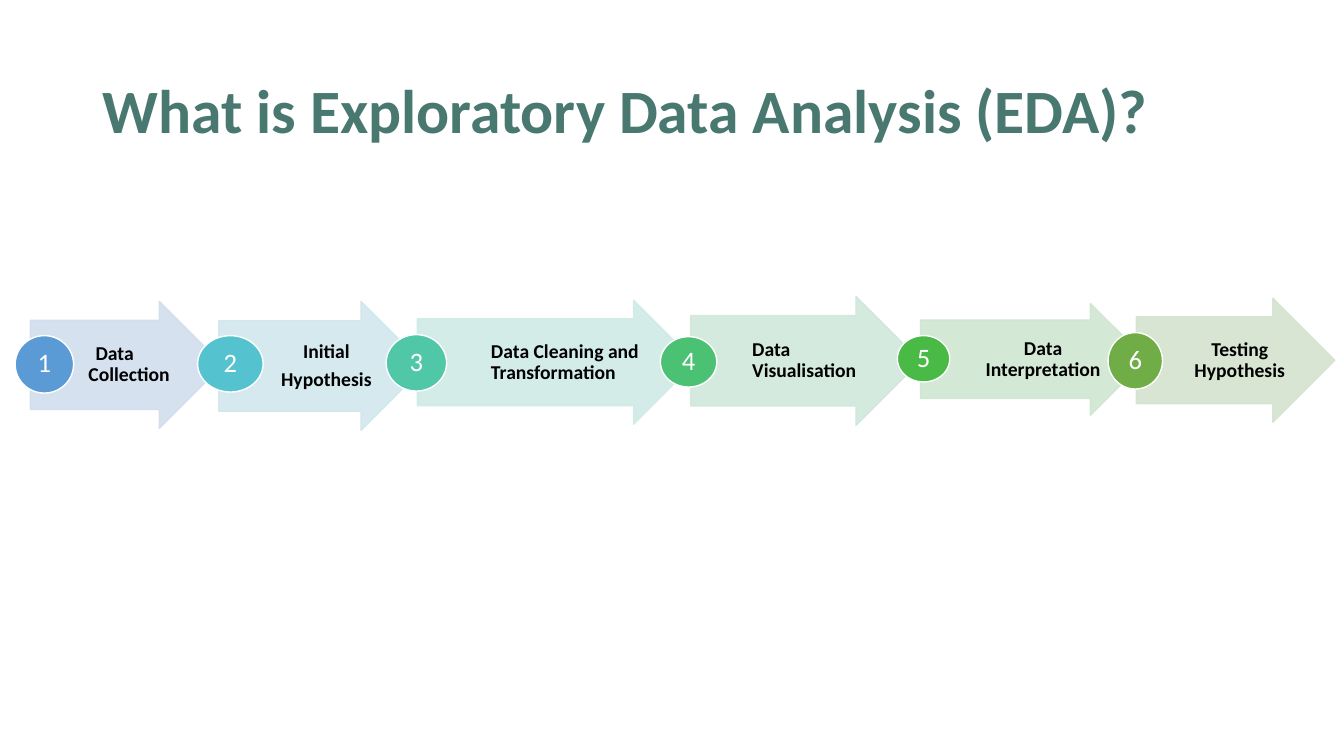
from dataclasses import dataclass

from lxml.etree import SubElement
from pptx import Presentation
from pptx.dml.color import RGBColor
from pptx.enum.shapes import MSO_SHAPE
from pptx.enum.text import MSO_ANCHOR, PP_ALIGN
from pptx.oxml.ns import qn
from pptx.util import Emu, Pt

PX = 9144  # 100 px to the inch


@dataclass(frozen=True)
class Theme:
    font: str = "Calibri"
    title: str = "487870"
    ink: str = "000000"
    white: str = "FFFFFF"
    title_size: int = 44
    label_size: int = 14
    number_size: int = 19
    line_spacing: float = 0.9
    arrow_opacity: int = 90


THEME = Theme()

# label paragraphs, label format, arrow box, arrow colour, badge box, badge colour
STEPS = [
    (["Data Collection"], {"align": PP_ALIGN.LEFT, "hang": (6, 7)},
     (30, 299, 191, 126), "D2DEEF", (15, 333, 58, 57), "5B9BD5"),
    (["Initial", "Hypothesis"], {},
     (217, 299, 205, 128), "D1E7ED", (196, 333, 65, 56), "55C3CF"),
    (["Data Cleaning and Transformation"], {"align": PP_ALIGN.LEFT},
     (414, 298, 276, 123), "D0EBE6", (383, 332, 60, 56), "50C8A7"),
    (["Data Visualisation"], {"align": PP_ALIGN.LEFT},
     (685, 294, 228, 128), "D0E8DB", (655, 334, 56, 50), "4BC174"),
    (["Data Interpretation"], {},
     (913, 301, 224, 111), "CFE6D1", (890, 333, 52, 46), "4ABA46"),
    (["Testing Hypothesis"], {},
     (1127, 296, 197, 123), "D5E3CF", (1099, 330, 54, 56), "70AD47"),
]


def px(*lengths):
    return [Emu(round(length * PX)) for length in lengths]


def write(shape, paragraphs, *, size, color, bold=False, align=PP_ALIGN.CENTER,
          insets=(1, 1, 1, 1), hang=(0, 0), space_after=0):
    """Fill a shape with text; hang is the left margin and first-line indent."""
    frame = shape.text_frame
    frame.word_wrap = True
    frame.vertical_anchor = MSO_ANCHOR.MIDDLE
    (frame.margin_left, frame.margin_top,
     frame.margin_right, frame.margin_bottom) = px(*insets)
    frame.text = "\n".join(paragraphs)
    for paragraph in frame.paragraphs:
        paragraph.alignment = align
        paragraph.line_spacing = THEME.line_spacing
        paragraph.space_after = Pt(space_after)
        margin, indent = px(*hang)
        properties = paragraph._p.get_or_add_pPr()
        properties.set("marL", str(margin))
        properties.set("indent", str(indent))
        font = paragraph.runs[0].font
        font.name = THEME.font
        font.size = Pt(size)
        font.bold = bold
        font.color.rgb = RGBColor.from_string(color)


def add_figure(slide, preset, box, fill, line, opacity=100):
    figure = slide.shapes.add_shape(preset, *px(*box))
    figure.shadow.inherit = False
    figure.fill.solid()
    figure.fill.fore_color.rgb = RGBColor.from_string(fill)
    figure.line.color.rgb = RGBColor.from_string(line)
    figure.line.width = Pt(1)
    if opacity < 100:
        for color in figure._element.spPr.iter(qn("a:srgbClr")):
            SubElement(color, qn("a:alpha"), val=str(opacity * 1000))
    return figure


def add_title(slide, box, text):
    title = slide.shapes.add_textbox(*px(*box))
    write(title, [text], size=THEME.title_size, color=THEME.title, bold=True,
          align=PP_ALIGN.LEFT, insets=(10, 5, 10, 5))


def add_arrow(slide, box, color, paragraphs, label_format):
    """Draw a step arrow with its label between the badge and the arrow tip."""
    arrow = add_figure(slide, MSO_SHAPE.RIGHT_ARROW, box, color, color,
                       THEME.arrow_opacity)
    arrow.adjustments[0], arrow.adjustments[1] = 0.7, 0.5
    left, top, width, height = box
    label = slide.shapes.add_textbox(*px(
        left + width / 4, top + 0.15 * height,
        0.75 * width - 0.35 * height, 0.7 * height))
    write(label, paragraphs, size=THEME.label_size, color=THEME.ink, bold=True,
          insets=(4, 1, 2, 1), space_after=5, **label_format)


def add_badge(slide, box, color, number):
    badge = add_figure(slide, MSO_SHAPE.OVAL, box, color, THEME.white)
    write(badge, [str(number)], size=THEME.number_size, color=THEME.white)


def main():
    deck = Presentation()
    deck.slide_width, deck.slide_height = px(1333, 750)
    slide = deck.slides.add_slide(deck.slide_layouts[6])
    add_title(slide, (92, 40, 1150, 145), "What is Exploratory Data Analysis (EDA)?")
    for number, step in enumerate(STEPS, start=1):
        paragraphs, label_format, arrow_box, arrow_color, badge_box, badge_color = step
        add_arrow(slide, arrow_box, arrow_color, paragraphs, label_format)
        add_badge(slide, badge_box, badge_color, number)
    deck.save("out.pptx")


if __name__ == "__main__":
    main()
